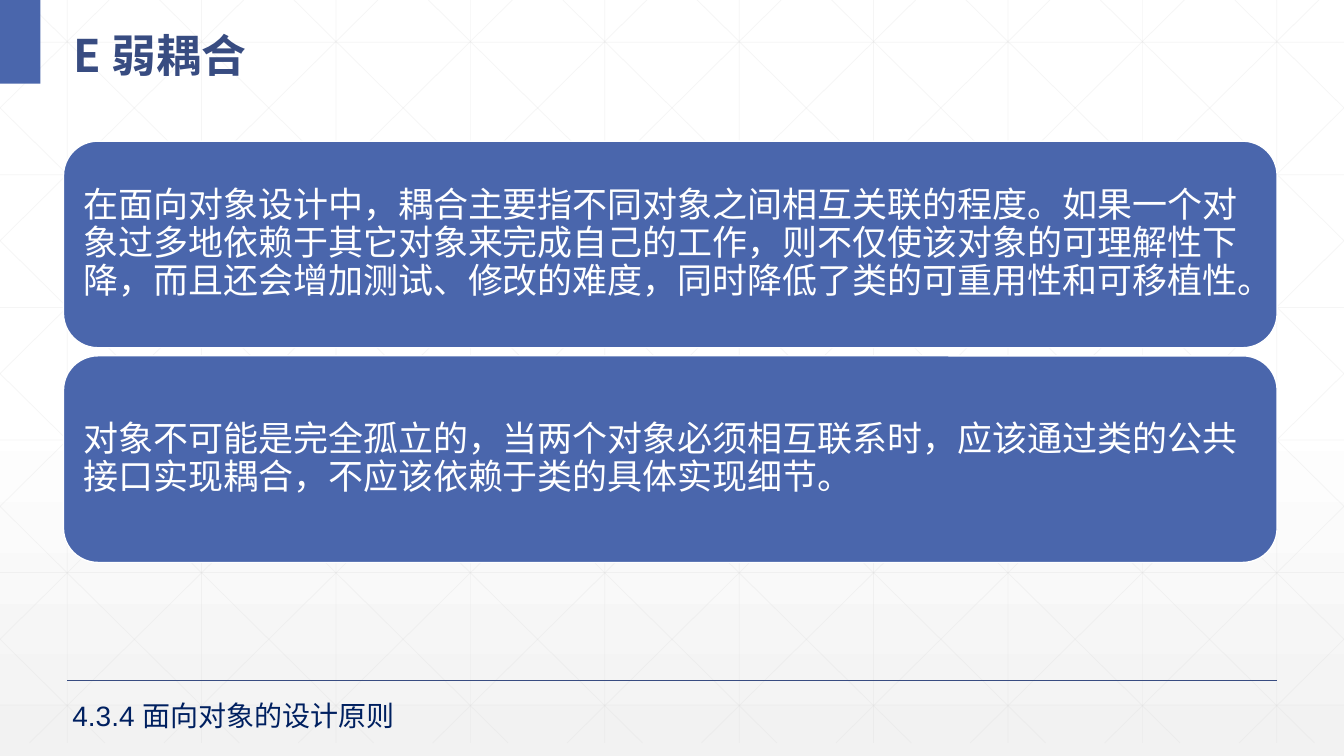
from dataclasses import dataclass

from lxml import etree
from pptx import Presentation
from pptx.dml.color import RGBColor
from pptx.enum.shapes import MSO_CONNECTOR, MSO_SHAPE
from pptx.enum.text import MSO_ANCHOR, MSO_AUTO_SIZE, PP_ALIGN
from pptx.oxml.ns import qn
from pptx.util import Inches, Pt

STRAIGHT = MSO_CONNECTOR.STRAIGHT
RECTANGLE, ROUNDED = MSO_SHAPE.RECTANGLE, MSO_SHAPE.ROUNDED_RECTANGLE
MIDDLE, TOP = MSO_ANCHOR.MIDDLE, MSO_ANCHOR.TOP
LEFT = PP_ALIGN.LEFT
NO_AUTOFIT = MSO_AUTO_SIZE.NONE

# The slide is divided into 40 columns and 30 rows.
SLIDE_WIDTH, SLIDE_HEIGHT = Inches(13.33), Inches(7.5)
COLUMNS, ROWS = 40, 30
COLUMN, ROW = SLIDE_WIDTH / COLUMNS, SLIDE_HEIGHT / ROWS


@dataclass(frozen=True)
class Theme:
    accent: str = "4A66AC"
    dark: str = "384C81"
    footer: str = "002060"
    white: str = "FFFFFF"
    mesh: str = "D9D9D9"
    backdrop: tuple = ((0, "FFFFFF", 100), (53, "FFFFFF", 100), (100, "F2F2F2", 65))
    mesh_opacity: int = 25
    latin_font: str = "Arial"
    chinese_font: str = "Noto Sans CJK SC"
    title_size: int = 32
    card_size: int = 25
    footer_size: int = 20


THEME = Theme()


@dataclass(frozen=True)
class Box:
    """An area in columns and rows."""
    left: float
    top: float
    width: float
    height: float

    def place(self):
        return (round(self.left * COLUMN), round(self.top * ROW),
                round(self.width * COLUMN), round(self.height * ROW))


TITLE = "E 弱耦合"
CARDS = [
    "在面向对象设计中，耦合主要指不同对象之间相互关联的程度。如果一个对象过多地依赖于其它对象来完成自己的工作，"
    "则不仅使该对象的可理解性下降，而且还会增加测试、修改的难度，同时降低了类的可重用性和可移植性。",
    "对象不可能是完全孤立的，当两个对象必须相互联系时，应该通过类的公共接口实现耦合，不应该依赖于类的具体实现细节。",
]
SECTION = "4.3.4 面向对象的设计原则"


def add_opacity(color_element, percent):
    alpha = etree.SubElement(color_element, qn("a:alpha"))
    alpha.set("val", str(percent * 1000))


def set_backdrop(slide):
    fill = slide.background.fill
    fill.gradient()
    fill.gradient_angle = 270
    stops = slide.element.find(".//" + qn("a:gsLst"))
    for stop in list(stops):
        stops.remove(stop)
    for position, color, opacity in THEME.backdrop:
        stop = etree.SubElement(stops, qn("a:gs"), pos=str(position * 1000))
        color_element = etree.SubElement(stop, qn("a:srgbClr"), val=color)
        if opacity < 100:
            add_opacity(color_element, opacity)


def add_line(shapes, start, end, color, width, opacity=100):
    """Draw a line between two (column, row) points."""
    line = shapes.add_connector(
        STRAIGHT, round(start[0] * COLUMN), round(start[1] * ROW),
        round(end[0] * COLUMN), round(end[1] * ROW))
    line.line.color.rgb = RGBColor.from_string(color)
    line.line.width = Pt(width)
    properties = line.element.spPr
    etree.SubElement(properties, qn("a:effectLst"))
    if opacity < 100:
        add_opacity(properties.find(".//" + qn("a:srgbClr")), opacity)


def add_mesh(slide, box):
    """Fill the box with verticals, horizontals and two sets of diagonals."""
    step, row_step, slant = 4, 5.26, 22.37
    right, bottom = box.left + box.width, box.top + box.height
    segments = []
    for index in range(10):
        x = box.left + 2 + index * step
        segments.append(((x, box.top), (x, bottom)))
    for index in range(6):
        y = box.top + 1.68 + index * row_step
        segments.append(((box.left, y), (right, y)))
    for index in range(-5, 10):
        x = box.left + 0.75 + index * step
        first, last = max(x, box.left), min(x + slant, right)
        first_y, last_y = (box.top + (edge - x) * box.height / slant
                           for edge in (first, last))
        segments.append(((first, first_y), (last, last_y)))
        mirror = box.left + right
        segments.append(((mirror - first, first_y), (mirror - last, last_y)))
    group = slide.shapes.add_group_shape()
    for start, end in segments:
        add_line(group.shapes, start, end, THEME.mesh, 0.5, THEME.mesh_opacity)


def write_text(shape, text, font_name, size, color, anchor, spacing=1.0, bold=False):
    frame = shape.text_frame
    frame.text = text
    frame.word_wrap = True
    frame.auto_size = NO_AUTOFIT
    frame.vertical_anchor = anchor
    paragraph = frame.paragraphs[0]
    paragraph.alignment = LEFT
    paragraph.line_spacing = spacing
    for run in paragraph.runs:
        run.font.name = font_name
        run.font.size = Pt(size)
        run.font.bold = bold
        run.font.color.rgb = RGBColor.from_string(color)
        run.font.fill.solid()
        run.font.color.rgb = RGBColor.from_string(color)
        properties = run._r.get_or_add_rPr()
        latin = properties.find(qn("a:latin"))
        latin.addnext(latin.makeelement(qn("a:ea"), typeface=THEME.chinese_font))


def add_panel(slide, kind, box):
    panel = slide.shapes.add_shape(kind, *box.place())
    panel.shadow.inherit = False
    panel.fill.solid()
    panel.fill.fore_color.rgb = RGBColor.from_string(THEME.accent)
    panel.line.fill.background()
    return panel


def add_header(slide, box):
    add_panel(slide, RECTANGLE, Box(0, 0, 1.2, 3.32))
    title = slide.shapes.title
    title.left, title.top, title.width, title.height = box.place()
    write_text(title, TITLE, THEME.chinese_font, THEME.title_size, THEME.dark,
               MIDDLE, spacing=1.3, bold=True)
    title.element.getparent().append(title.element)


def add_cards(slide, box, gap=0.32):
    height = (box.height - gap * (len(CARDS) - 1)) / len(CARDS)
    for index, text in enumerate(CARDS):
        top = box.top + index * (height + gap)
        card = add_panel(slide, ROUNDED, Box(box.left, top, box.width, height))
        card.line.color.rgb = RGBColor.from_string(THEME.white)
        card.line.width = Pt(1)
        write_text(card, text, THEME.latin_font, THEME.card_size, THEME.white,
                   MIDDLE, spacing=0.9)


def add_footer(slide, box):
    add_line(slide.shapes, (2, box.top), (COLUMNS - 2, box.top), THEME.dark, 1)
    label_box = Box(box.left, box.top + 0.52, box.width / 2, box.height - 0.52)
    label = slide.shapes.add_textbox(*label_box.place())
    write_text(label, SECTION, THEME.latin_font, THEME.footer_size, THEME.footer, TOP)


def main():
    presentation = Presentation()
    presentation.slide_width, presentation.slide_height = SLIDE_WIDTH, SLIDE_HEIGHT
    slide = presentation.slides.add_slide(presentation.slide_layouts[5])
    set_backdrop(slide)
    add_mesh(slide, Box(0, 0, COLUMNS, 29.48))
    add_header(slide, Box(1.89, 0.4, 37.26, 2.92))
    add_cards(slide, Box(1.89, 5.6, 36.12, 16.72))
    add_footer(slide, Box(1.86, 27, 36.24, 2.28))
    presentation.save("out.pptx")


if __name__ == "__main__":
    main()
